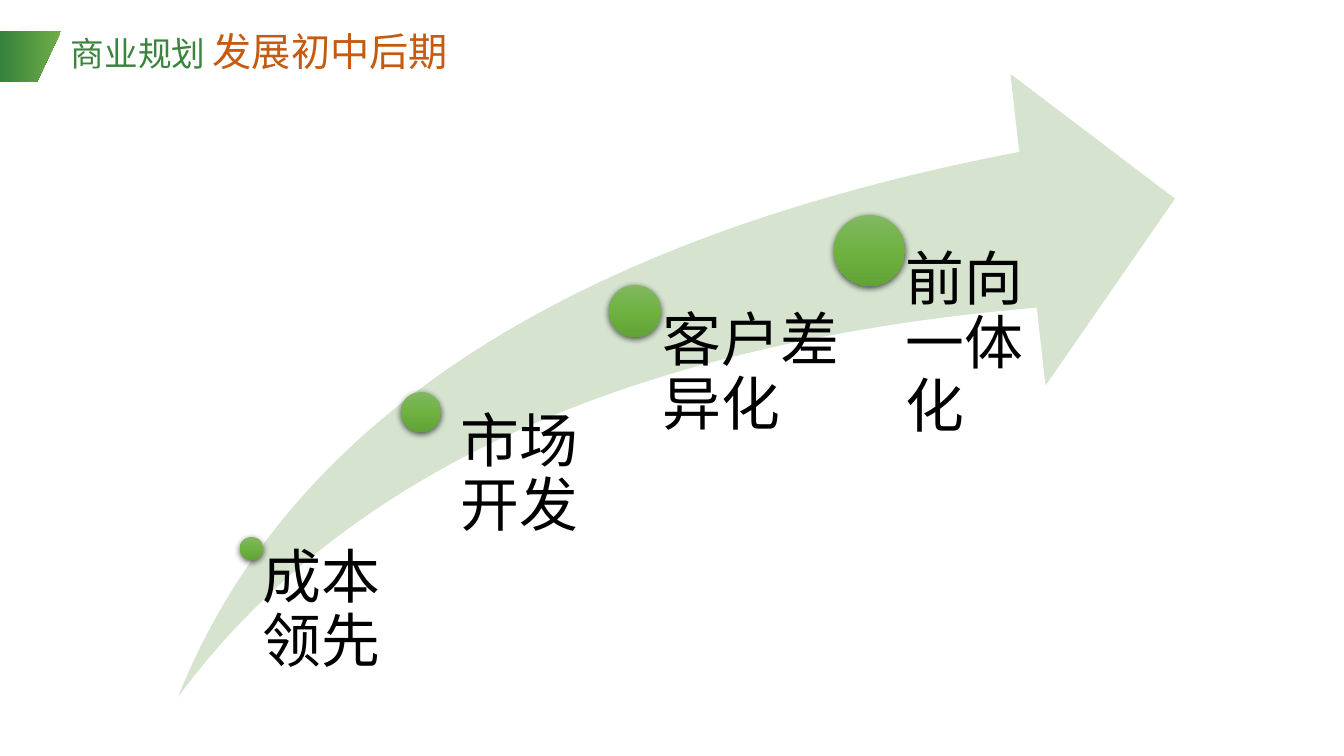
"""Build a slide that shows four growth strategies along a rising arrow."""
from lxml.etree import SubElement
from pptx import Presentation
from pptx.dml.color import RGBColor
from pptx.enum.shapes import MSO_SHAPE
from pptx.enum.text import MSO_ANCHOR, PP_ALIGN
from pptx.oxml import parse_xml
from pptx.oxml.ns import nsdecls, qn
from pptx.util import Pt

PX = 914400 / 100.8
THEME = {
    "font": "Noto Sans CJK SC",
    "section": {"color": "39853D", "size": 24},
    "topic": {"color": "C55A11", "size": 28},
    "stage": {"color": "000000", "size": 42},
    "arrow": "D5E3CF",
    "banner": ["35823C", "70AD47"],
    "dot": ["81B861", "6FB242", "62A336"],
}


def apply_gradient(shape, colors, degrees):
    stops = "".join(
        f'<a:gs pos="{100000 * i // (len(colors) - 1)}"><a:srgbClr val="{color}"/></a:gs>'
        for i, color in enumerate(colors)
    )
    shape._element.spPr.insert(2, parse_xml(
        f'<a:gradFill {nsdecls("a")} rotWithShape="1"><a:gsLst>{stops}</a:gsLst>'
        f'<a:lin ang="{degrees * 60000}" scaled="0"/></a:gradFill>'
    ))
    shape.line.fill.background()


def add_run(paragraph, text, style):
    run = paragraph.add_run()
    run.text = text
    run.font.size = Pt(style["size"])
    run.font.color.rgb = RGBColor.from_string(style["color"])
    run.font.name = THEME["font"]
    SubElement(run.font._element, qn("a:ea"), typeface=THEME["font"])


deck = Presentation()
deck.slide_width, deck.slide_height = round(1344 * PX), round(756 * PX)
slide = deck.slides.add_slide(deck.slide_layouts[6])
shapes = slide.shapes

outline = shapes.build_freeform(0, 31, scale=PX)
outline.add_line_segments([(61, 31), (37, 82), (0, 82)], close=True)
banner = outline.convert_to_shape()
banner.shadow.inherit = False
apply_gradient(banner, THEME["banner"], 0)

title = shapes.add_textbox(*(round(v * PX) for v in (61, 22, 443, 57))).text_frame
title.word_wrap = True
heading = title.paragraphs[0]
heading.alignment = PP_ALIGN.JUSTIFY
add_run(heading, "商业规划 ", THEME["section"])
add_run(heading, "发展初中后期", THEME["topic"])

arrow = shapes.add_shape(
    MSO_SHAPE.SWOOSH_ARROW, *(round(v * PX) for v in (178, 74, 997, 623))
)
arrow.adjustments[0] = arrow.adjustments[1] = 0.25
arrow.shadow.inherit = False
arrow.fill.solid()
arrow.fill.fore_color.rgb = RGBColor.from_string(THEME["arrow"])
arrow.line.fill.background()

ARROW_BOTTOM = 697
stages = [
    ("成本领先", 240, 537, 23, 251, 170, 12),
    ("市场开发", 401, 392, 40, 440, 171, 21),
    ("客户差异化", 609, 285, 52, 635, 210, 28),
    ("前向一体化", 834, 215, 71, 869, 210, 37),
]
for name, dot_left, dot_top, diameter, label_left, label_width, indent in stages:
    dot = shapes.add_shape(
        MSO_SHAPE.OVAL, *(round(v * PX) for v in (dot_left, dot_top, diameter, diameter))
    )
    apply_gradient(dot, THEME["dot"], 90)
    dot._element.spPr.append(parse_xml(
        f'<a:effectLst {nsdecls("a")}><a:outerShdw blurRad="{Pt(4.5)}" dist="{Pt(1.5)}" '
        'dir="5400000" algn="ctr" rotWithShape="0"><a:srgbClr val="000000">'
        '<a:alpha val="63000"/></a:srgbClr></a:outerShdw></a:effectLst>'
    ))

    label_top = dot_top + diameter // 2
    label = shapes.add_textbox(*(
        round(v * PX)
        for v in (label_left, label_top, label_width, ARROW_BOTTOM - label_top)
    )).text_frame
    label_format = {
        "word_wrap": True,
        "vertical_anchor": MSO_ANCHOR.TOP,
        "margin_left": round(indent * PX),
        "margin_top": 0,
        "margin_right": 0,
        "margin_bottom": 0,
    }
    for attribute, value in label_format.items():
        setattr(label, attribute, value)
    label.paragraphs[0].line_spacing = 0.9
    add_run(label.paragraphs[0], name, THEME["stage"])

deck.save("out.pptx")
